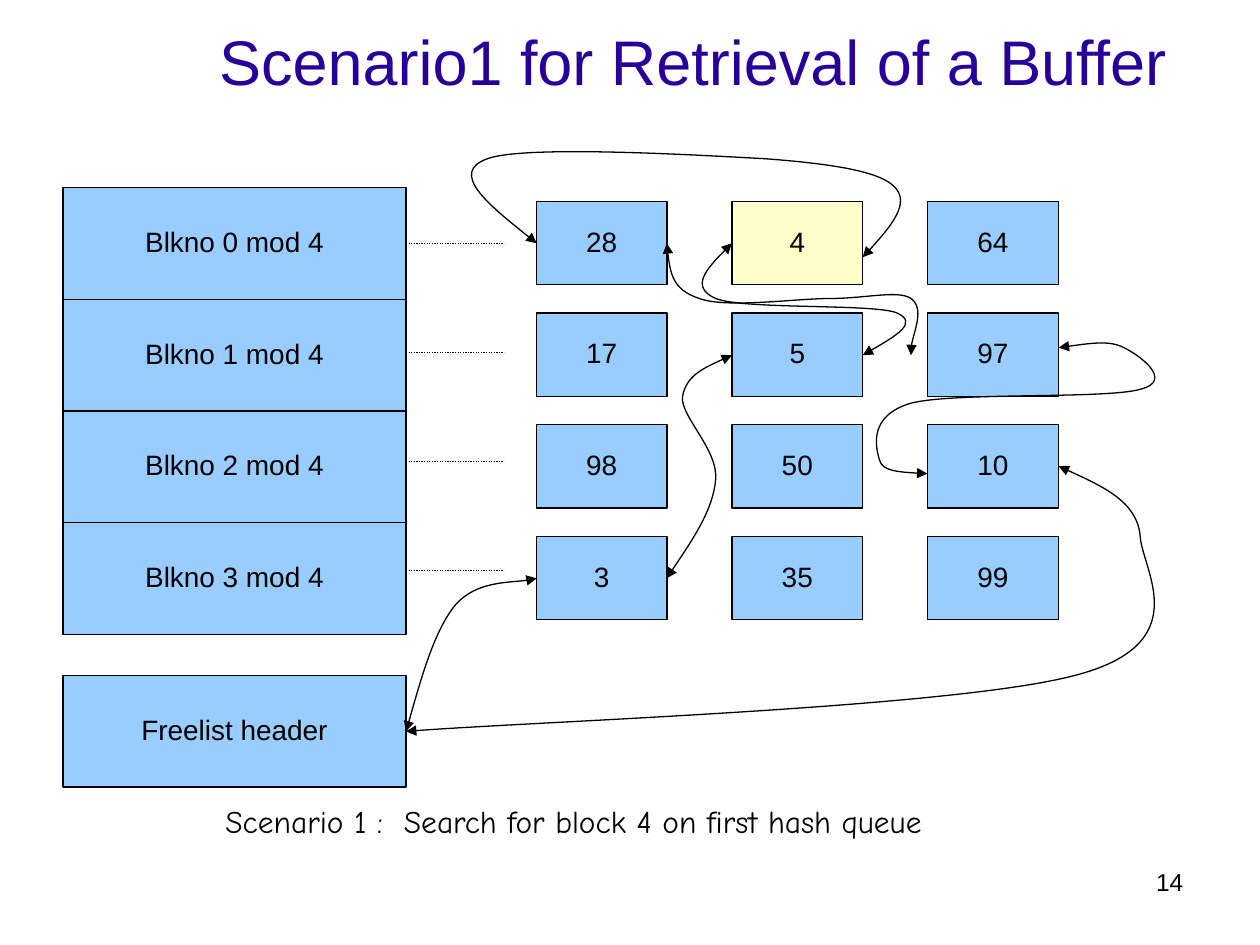
from dataclasses import dataclass

from lxml.etree import SubElement as Sub
from pptx import Presentation as Deck
from pptx.dml.color import RGBColor as RGB
from pptx.enum.dml import MSO_LINE as Dash
from pptx.enum.shapes import MSO_CONNECTOR as Link, MSO_SHAPE as Form
from pptx.enum.text import MSO_ANCHOR as Anchor, PP_ALIGN as Align
from pptx.oxml.ns import qn
from pptx.util import Pt


@dataclass(frozen=True)
class Theme:
    ink: RGB = RGB(0, 0, 0)
    title: RGB = RGB(0x28, 0, 0x99)
    box: RGB = RGB(0x99, 0xCC, 0xFF)
    hit: RGB = RGB(0xFF, 0xFF, 0xCC)
    font: str = "Arial"
    note: str = "Comic Neue"
    head: int = 36
    label: int = 16
    body: int = 18
    page: int = 14
    line: float = 0.75


LOOK = Theme()

# Layout
LEFT, WIDE = 36, 196
EDGE = LEFT + WIDE
TOP, STEP = 107.2, 63.8
FREE = 386

# Block numbers held by each hash queue
QUEUES = [(28, 4, 64), (17, 5, 97), (98, 50, 10), (3, 35, 99)]
FOUND = 4

# Free list links: a start point, then two controls and an end per curve
LINKS = [
    [(EDGE, 418), (240, 390), (248, 361), (260, 346),
     (272, 332), (299, 333), (306.7, 330.5)],
    [(381, 330.5), (394, 311), (407.5, 291.6), (409, 274),
     (410.4, 257), (389, 238), (390, 227),
     (392, 214.6), (405, 209), (418.3, 203)],
    [(493, 203), (509, 193.7), (525.6, 184.3), (512, 178.6),
     (497.5, 173.5), (425, 177), (409, 170.6),
     (394, 164), (406, 151), (418.3, 139)],
    [(493, 147), (507, 132), (520.6, 116), (511, 106.6),
     (502.6, 98), (476, 93.6), (437, 90.7),
     (398, 88.6), (300, 82.8), (278.6, 90.7),
     (256.3, 98.6), (281.5, 119), (306.7, 139)],
    [(381, 139), (382.3, 152), (384, 165.6), (399.6, 170.6),
     (415.4, 176.4), (454.3, 170.6), (474.5, 170.6),
     (494.6, 170.6), (513.4, 165.6), (520.6, 170.6),
     (528.5, 176.4), (519, 197.3), (520.6, 203)],
    [(605, 198.7), (620, 196.6), (634.3, 194.4), (642.2, 198.7),
     (650, 202.3), (671.8, 217.4), (651.6, 222.5),
     (631.4, 228.2), (545.8, 224), (520.6, 230.4),
     (496, 237.6), (500.4, 255.6), (502.6, 262.8),
     (504, 269.3), (517, 270), (530, 270.7)],
    [(605, 266.4), (627, 276.5), (650, 286.6), (651.6, 306.7),
     (653, 326.2), (684, 368), (614.2, 386),
     (544.3, 404.6), (295.2, 412.6), (EDGE, 418)],
]


def write(shape, text, size, align, font=LOOK.font, color=LOOK.ink, wrap=False):
    frame = shape.text_frame
    frame.word_wrap = wrap
    para = frame.paragraphs[0]
    para.text = text
    para.alignment = align
    para.font.size = Pt(size)
    para.font.name = font
    para.font.color.rgb = color
    return frame, para


def stroke(item):
    item.line.color.rgb = LOOK.ink
    item.line.width = Pt(LOOK.line)


def add_box(slide, area, text, fill=LOOK.box):
    box = slide.shapes.add_shape(Form.RECTANGLE, *map(Pt, area))
    box.shadow.inherit = False
    box.fill.solid()
    box.fill.fore_color.rgb = fill
    stroke(box)
    frame, para = write(box, text, LOOK.label, Align.CENTER)
    frame.vertical_anchor = Anchor.MIDDLE
    para.line_spacing = 0.91


def add_text(slide, area, *args, **opts):
    return write(slide.shapes.add_textbox(*map(Pt, area)), *args, **opts)


def add_line(slide, *ends):
    line = slide.shapes.add_connector(Link.STRAIGHT, *map(Pt, ends))
    stroke(line)
    line.line.dash_style = Dash.ROUND_DOT
    Sub(line._element.spPr, qn("a:effectLst"))


def add_curve(slide, points):
    start, *rest = [(Pt(x), Pt(y)) for x, y in points]
    pen = slide.shapes.build_freeform(*start)
    pen.add_line_segments(rest, close=False)
    curve = pen.convert_to_shape()
    curve.shadow.inherit = False
    curve.fill.background()
    stroke(curve)

    # Each three straight segments become one cubic curve
    props = curve._element.spPr
    steps = list(props.iter(qn("a:lnTo")))
    for i in range(0, len(steps), 3):
        bend = Sub(steps[i].getparent(), qn("a:cubicBezTo"))
        for step in steps[i:i + 3]:
            bend.append(step[0])
            step.getparent().remove(step)

    # Arrowheads at both ends
    edge = props.find(qn("a:ln"))
    for end in ("a:headEnd", "a:tailEnd"):
        Sub(edge, qn(end), type="triangle")


def add_table(slide):
    # Hash queue headers, their dotted lines, and the free list
    for i in range(len(QUEUES)):
        add_box(slide, (LEFT, TOP + i * STEP, WIDE, STEP), f"Blkno {i} mod 4")
        y = 139 + i * 62.4
        add_line(slide, EDGE, y, 288, y)
    add_box(slide, (LEFT, FREE, WIDE, STEP), "Freelist header")


def add_queues(slide):
    for i, queue in enumerate(QUEUES):
        for j, block in enumerate(queue):
            area = (306.5 + j * 111.8, 115 + i * STEP, 74.6, 47.8)
            fill = LOOK.hit if block == FOUND else LOOK.box
            add_box(slide, area, str(block), fill)


def main():
    deck = Deck()
    deck.slide_width, deck.slide_height = Pt(720), Pt(540)
    slide = deck.slides.add_slide(deck.slide_layouts[6])

    # Title
    frame, para = add_text(slide, (72, 0, 648, 72),
                           "Scenario1 for Retrieval of a Buffer", LOOK.head,
                           Align.CENTER, color=LOOK.title, wrap=True)
    frame.vertical_anchor = Anchor.MIDDLE
    frame.margin_left = frame.margin_right = 0
    frame.margin_top = frame.margin_bottom = 0
    para.line_spacing = 0.98
    para.space_before = Pt(11)

    # Diagram
    add_table(slide)
    add_queues(slide)
    for points in LINKS:
        add_curve(slide, points)

    # Caption and page number
    add_text(slide, (121.7, 455, 413.3, 29),
             "Scenario 1 :  Search for block 4 on first hash queue",
             LOOK.body, Align.LEFT, font=LOOK.note)
    add_text(slide, (516, 492, 167.3, 37.4), "14", LOOK.page,
             Align.RIGHT, wrap=True)

    deck.save("out.pptx")


main()
